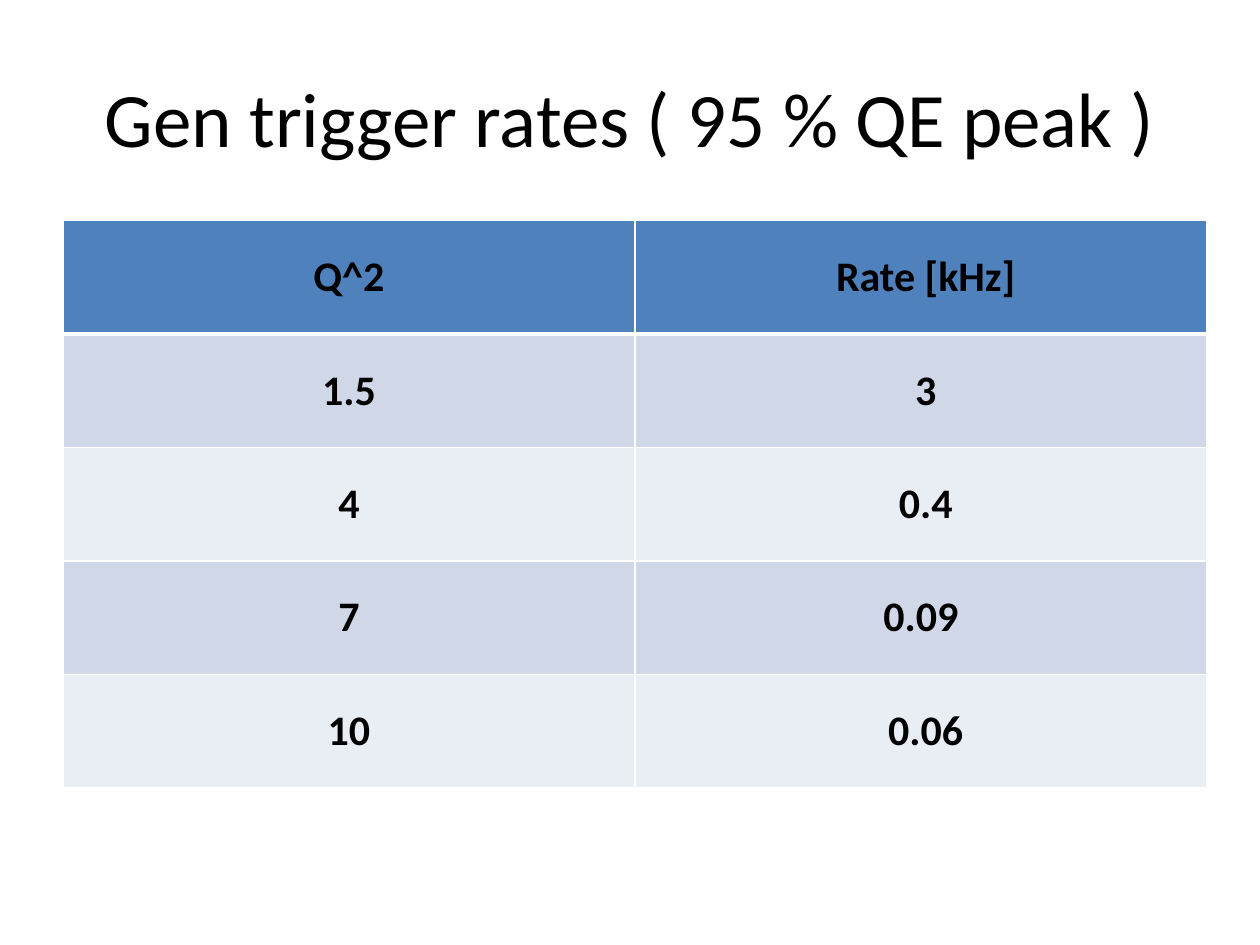
import pptx
import pptx.dml.color
import pptx.enum.text
import pptx.util
from lxml import etree
from pptx.oxml.ns import qn

Cm = pptx.util.Cm
Pt = pptx.util.Pt

RATES = [
    ("Q^2", " Rate [kHz]"),
    ("1.5", " 3"),
    (" 4 ", " 0.4"),
    ("7", "0.09"),
    ("10", " 0.06"),
]


def color(code):
    return pptx.dml.color.RGBColor.from_string(code)


class Page:
    font = "Calibri"
    ink = "000000"
    rule = "FFFFFF"
    head = "4F81BD"
    bands = ("D0D8E8", "E9EDF4")

    def __init__(self, deck):
        self.slide = deck.slides.add_slide(deck.slide_layouts[6])

    def style(self, frame, size, bold=False):
        for para in frame.paragraphs:
            para.alignment = pptx.enum.text.PP_ALIGN.CENTER
            for run in para.runs:
                run.font.name = self.font
                run.font.size = Pt(size)
                run.font.bold = bold
                run.font.color.rgb = color(self.ink)

    def title(self, text, left, top, width, height):
        box = self.slide.shapes.add_textbox(Cm(left), Cm(top), Cm(width), Cm(height))
        frame = box.text_frame
        frame.word_wrap = True
        frame.vertical_anchor = pptx.enum.text.MSO_ANCHOR.MIDDLE
        frame.text = text
        self.style(frame, 44)

    def border(self, cell, side, width):
        props = cell._tc.get_or_add_tcPr()
        line = etree.SubElement(props, qn(f"a:ln{side}"), w=str(Pt(width)))
        fill = etree.SubElement(line, qn("a:solidFill"))
        etree.SubElement(fill, qn("a:srgbClr"), val=self.rule)

    def table(self, rows, left, top, width, height):
        """Draw rows as a banded table whose first row is the header."""
        grid = self.slide.shapes.add_table(
            len(rows), len(rows[0]), Cm(left), Cm(top), Cm(width), Cm(height)
        ).table
        for i, row in enumerate(rows):
            for j, text in enumerate(row):
                cell = grid.cell(i, j)
                cell.text_frame.text = text
                cell.vertical_anchor = pptx.enum.text.MSO_ANCHOR.MIDDLE
                self.style(cell.text_frame, 24, bold=True)
                for side in "LRTB":
                    thick = (i, side) in ((0, "B"), (1, "T"))
                    self.border(cell, side, 3 if thick else 1)
                cell.fill.solid()
                code = self.bands[(i - 1) % 2] if i else self.head
                cell.fill.fore_color.rgb = color(code)


def main():
    deck = pptx.Presentation()
    deck.slide_width = Cm(25.4)
    deck.slide_height = Cm(19.05)
    page = Page(deck)
    page.title("Gen trigger rates ( 95 % QE peak )", 1.27, 0.76, 22.86, 3.18)
    page.table(RATES, 1.27, 4.45, 23.06, 11.43)
    deck.save("out.pptx")


if __name__ == "__main__":
    main()
